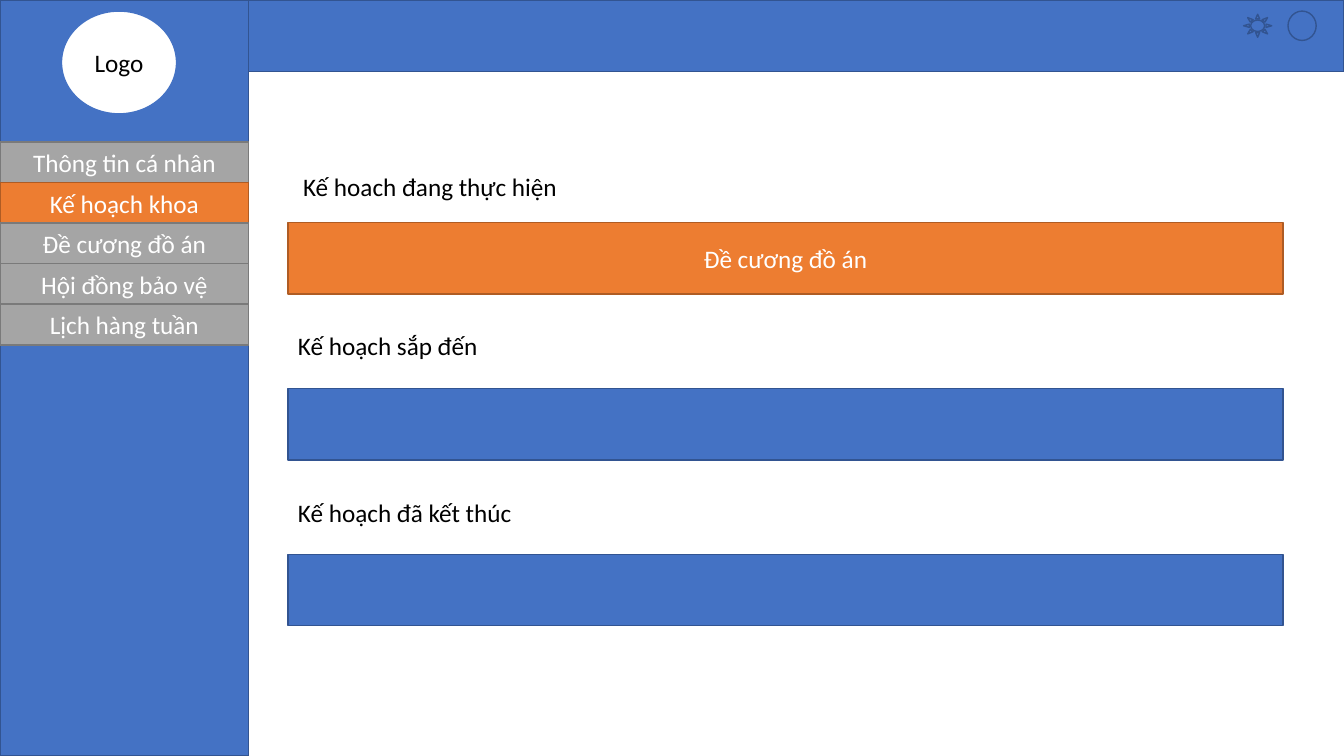
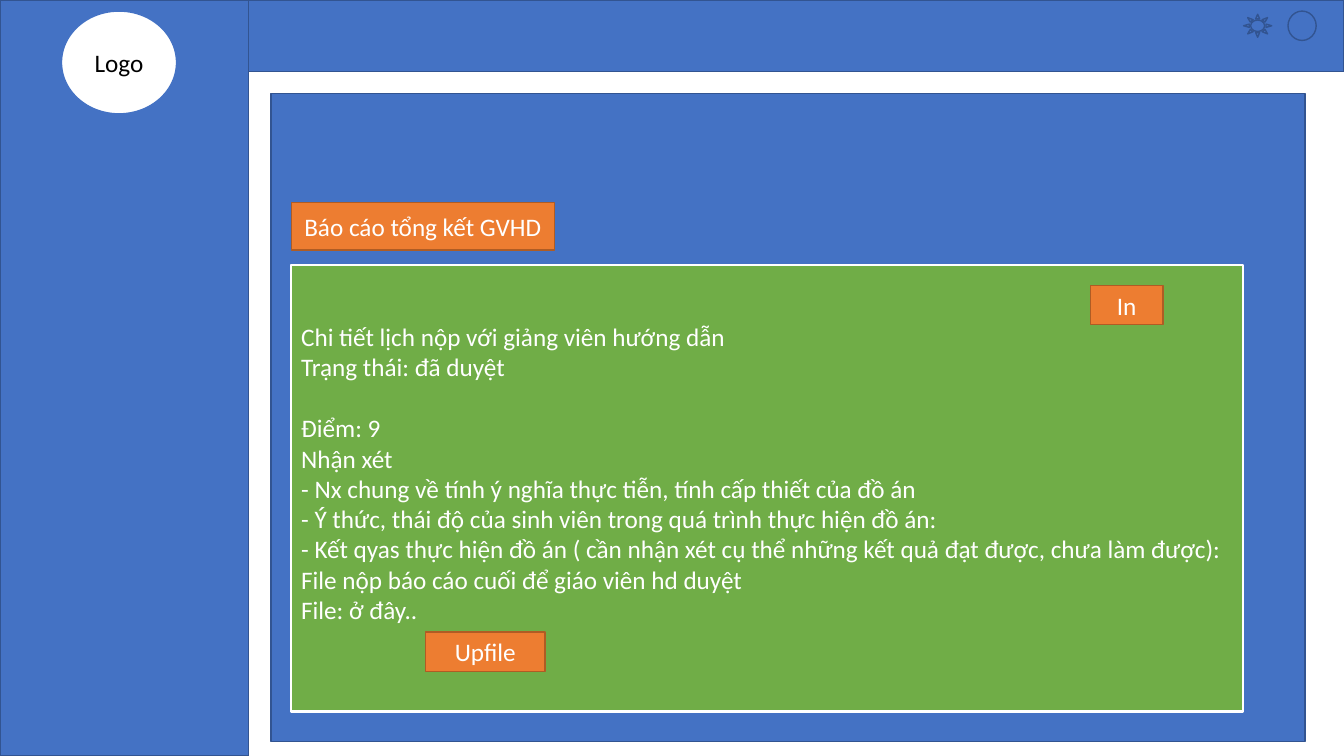
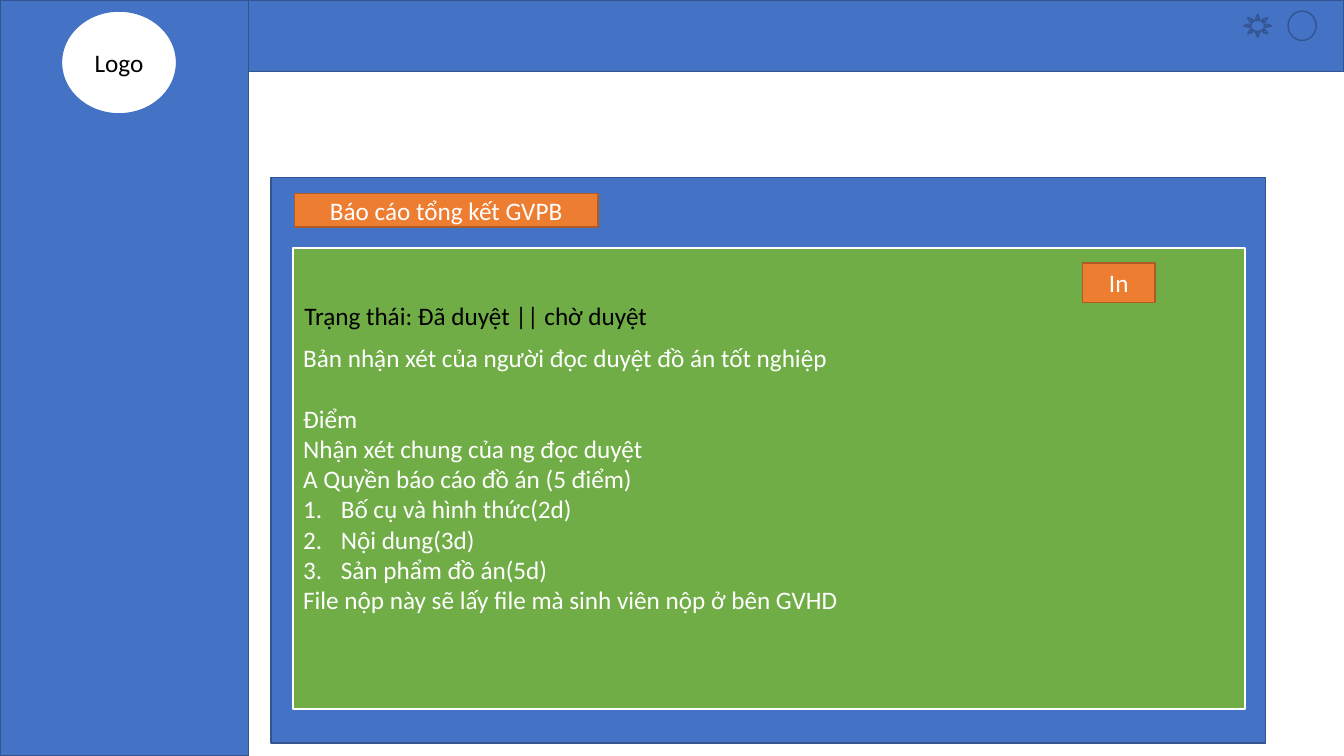
"""Build three screens of a graduation project portal: plans and two final reports."""
from lxml.etree import SubElement
from pptx import Presentation
from pptx.dml.color import RGBColor
from pptx.enum.shapes import MSO_SHAPE as Preset
from pptx.enum.text import MSO_ANCHOR as Anchor, PP_ALIGN as Align
from pptx.oxml.ns import qn
from pptx.util import Cm, Pt

BLUE = RGBColor(0x44, 0x72, 0xC4)
BLUE_EDGE = RGBColor(0x32, 0x54, 0x91)
ORANGE = RGBColor(0xED, 0x7D, 0x31)
ORANGE_EDGE = RGBColor(0xAF, 0x5C, 0x24)
GREY = RGBColor(0xA5, 0xA5, 0xA5)
GREY_EDGE = RGBColor(0x7A, 0x7A, 0x7A)
GREEN = RGBColor(0x70, 0xAD, 0x47)
WHITE = RGBColor(0xFF, 0xFF, 0xFF)
BLACK = RGBColor(0, 0, 0)

FONT = "Calibri"
SIZE = Pt(18)
BLANK_LINE = Pt(22)
SIDEBAR_WIDTH = 6.27
BAR_HEIGHT = 1.8
BUTTON_HEIGHT = 0.99


def write(shape, lines, colour=WHITE, align=Align.CENTER):
    """Fill a shape with one paragraph per line."""
    frame = shape.text_frame
    for number, line in enumerate(lines):
        paragraph = frame.add_paragraph() if number else frame.paragraphs[0]
        paragraph.alignment = align
        run = paragraph.add_run()
        run.text = line
        run.font.name, run.font.size = FONT, SIZE
        run.font.color.rgb = colour
    return frame


def add_box(slide, at, fill, edge, lines=(), colour=WHITE, align=Align.CENTER,
            preset=Preset.RECTANGLE, weight=1):
    """Add a filled, outlined shape, with text if there are lines."""
    box = slide.shapes.add_shape(preset, *map(Cm, at))
    box.shadow.inherit = False
    box.fill.solid()
    box.fill.fore_color.rgb = fill
    box.line.color.rgb = edge
    box.line.width = Pt(weight)
    box.text_frame.vertical_anchor = Anchor.MIDDLE
    write(box, lines, colour, align)
    return box


deck = Presentation()
deck.slide_width, deck.slide_height = Cm(33.87), Cm(19.05)
title_only, blank = deck.slide_layouts[5], deck.slide_layouts[6]
plans, supervisor, reviewer = [
    deck.slides.add_slide(layout) for layout in (blank, title_only, title_only)]

for screen in (plans, supervisor, reviewer):
    add_box(screen, (0, 0, SIDEBAR_WIDTH, 19.05), BLUE, BLUE_EDGE)
    add_box(screen, (1.55, 0.28, 2.9, 2.59), WHITE, BLUE, ["Logo"], BLACK,
            preset=Preset.OVAL)
    add_box(screen, (SIDEBAR_WIDTH, 0, 27.6, BAR_HEIGHT), BLUE, BLUE_EDGE)
    add_box(screen, (32.46, 0.28, 0.71, 0.74), BLUE, BLUE_EDGE, preset=Preset.OVAL)
    add_box(screen, (31.34, 0.36, 0.71, 0.58), BLUE, BLUE_EDGE, preset=Preset.SUN)

menu = ["Thông tin cá nhân", "Kế hoạch khoa", "Đề cương đồ án",
        "Hội đồng bảo vệ", "Lịch hàng tuần"]
for row, entry in enumerate(menu):
    active = entry == "Kế hoạch khoa"
    add_box(plans, (0, 3.58 + row * 1.02, SIDEBAR_WIDTH, 1.04),
            ORANGE if active else GREY, ORANGE_EDGE if active else GREY_EDGE, [entry])

sections = [
    ("Kế hoach đang thực hiện", 7.39, 4.19, 6.99, ORANGE, ORANGE_EDGE, ["Đề cương đồ án"]),
    ("Kế hoạch sắp đến", 7.26, 8.2, 5.11, BLUE, BLUE_EDGE, []),
    ("Kế hoạch đã kết thúc", 7.26, 12.4, 5.97, BLUE, BLUE_EDGE, []),
]
for row, (heading, left, top, width, fill, edge, plan) in enumerate(sections):
    add_box(plans, (7.26, 5.61 + row * 4.18, 25.07, BAR_HEIGHT), fill, edge, plan)
    label = plans.shapes.add_textbox(Cm(left), Cm(top), Cm(width), Cm(1.02))
    write(label, [heading], BLACK, Align.LEFT).word_wrap = False

supervisor_lines = [
    "Chi tiết lịch nộp với giảng viên hướng dẫn",
    "Trạng thái: đã duyệt",
    "Điểm: 9",
    "Nhận xét",
    "- Nx chung về tính ý nghĩa thực tiễn, tính cấp thiết của đồ án",
    "- Ý thức, thái độ của sinh viên trong quá trình thực hiện đồ án:",
    "- Kết qyas thực hiện đồ án ( cần nhận xét cụ thể những kết quả đạt được, chưa làm được):",
    "File nộp báo cáo cuối để giáo viên hd duyệt",
    "File: ở đây..",
]
reviewer_lines = [
    "Bản nhận xét của người đọc duyệt đồ án tốt nghiệp",
    "Điểm",
    "Nhận xét chung của ng đọc duyệt",
    "A Quyền báo cáo đồ án (5 điểm)",
    "Bố cụ và hình thức(2d)",
    "Nội dung(3d)",
    "Sản phẩm đồ án(5d)",
    "File nộp này sẽ lấy file mà sinh viên nộp ở bên GVHD",
]
reports = [
    (supervisor, "Báo cáo tổng kết GVHD", (7.34, 5.11, 6.63, 1.19),
     (6.83, 2.36, 26.06, 16.33), (7.34, 6.68, 23.98, 11.25), supervisor_lines,
     [("In", 27.48, 7.19, 1.83), ("Upfile", 10.72, 15.93, 3.02)]),
    (reviewer, "Báo cáo tổng kết GVPB", (7.42, 4.88, 7.65, 0.84),
     (6.83, 4.47, 25.07, 14.25), (7.39, 6.25, 23.98, 11.61), reviewer_lines,
     [("In", 27.28, 6.63, 1.83)]),
]
details = []
for screen, heading, heading_at, panel_at, detail_at, lines, buttons in reports:
    add_box(screen, panel_at, BLUE, BLUE_EDGE)
    detail = add_box(screen, detail_at, GREEN, WHITE, lines, align=Align.LEFT, weight=1.5)
    for paragraph in detail.text_frame.paragraphs:
        if paragraph.text.startswith("Điểm"):
            paragraph.space_before = BLANK_LINE
    details.append(detail.text_frame)
    for caption, left, top, width in buttons:
        add_box(screen, (left, top, width, BUTTON_HEIGHT), ORANGE, ORANGE_EDGE, [caption])

    title = screen.shapes.title
    title.left, title.top, title.width, title.height = map(Cm, heading_at)
    title.fill.solid()
    title.fill.fore_color.rgb = ORANGE
    title.line.color.rgb = ORANGE_EDGE
    title.line.width = Pt(1)
    write(title, [heading]).vertical_anchor = Anchor.MIDDLE
    screen.shapes._spTree.append(title._element)

supervisor_detail, reviewer_detail = details
supervisor_detail.margin_bottom = Cm(0.9)
for criterion in reviewer_detail.paragraphs[4:7]:
    properties = criterion._p.get_or_add_pPr()
    properties.set("marL", str(Cm(0.95)))
    properties.set("indent", str(-Cm(0.95)))
    SubElement(properties, qn("a:buAutoNum"), type="arabicPeriod")

status = reviewer.shapes.add_textbox(Cm(7.42), Cm(7.44), Cm(9.27), Cm(1.02))
write(status, ["Trạng thái: Đã duyệt || chờ duyệt"], BLACK, Align.LEFT).word_wrap = False

deck.save("out.pptx")
